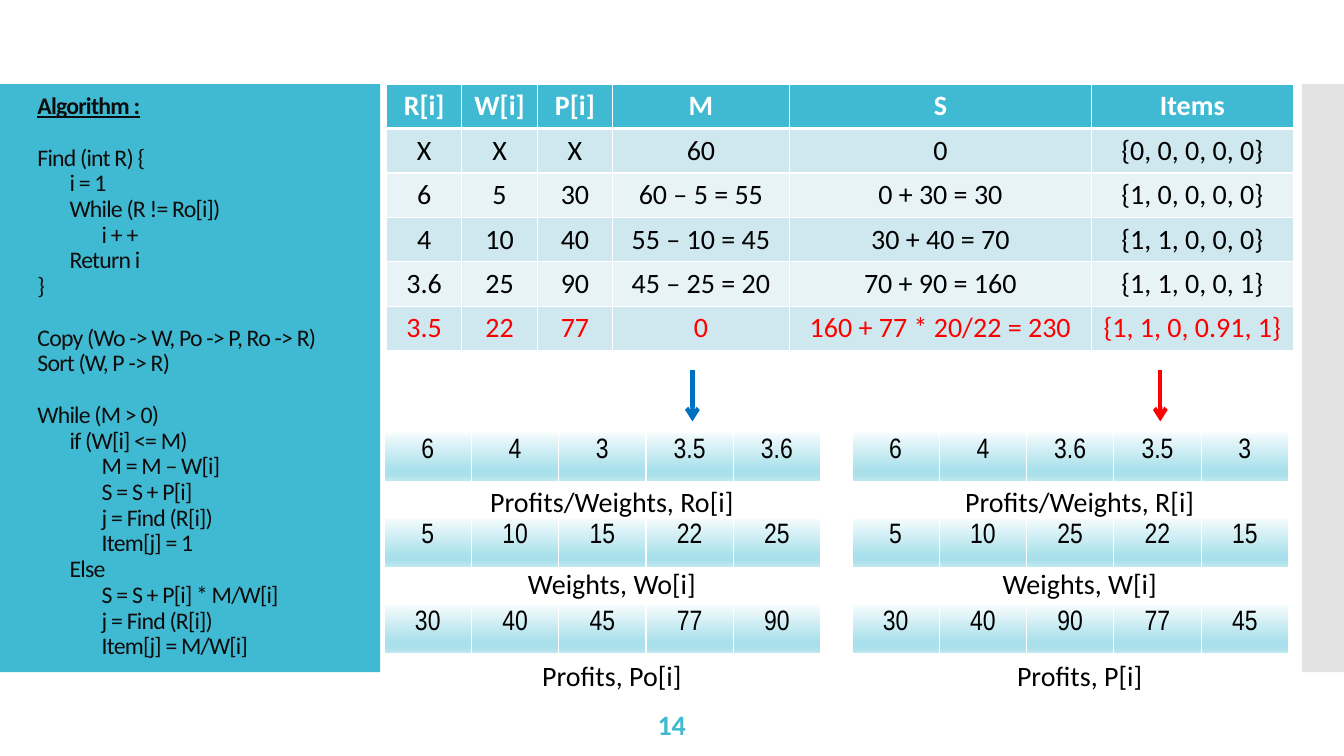
from pptx import Presentation
from pptx.dml.color import RGBColor
from pptx.enum.shapes import MSO_CONNECTOR, MSO_SHAPE
from pptx.enum.text import MSO_ANCHOR, MSO_AUTO_SIZE, PP_ALIGN
from pptx.oxml import parse_xml
from pptx.oxml.ns import nsdecls
from pptx.util import Cm, Pt

RECTANGLE = MSO_SHAPE.RECTANGLE
STRAIGHT = MSO_CONNECTOR.STRAIGHT
LEFT, CENTER = PP_ALIGN.LEFT, PP_ALIGN.CENTER
TOP, MIDDLE = MSO_ANCHOR.TOP, MSO_ANCHOR.MIDDLE
NO_AUTOFIT = MSO_AUTO_SIZE.NONE

TEAL, GREY, WHITE, BLACK = "40BAD2", "C8C8C8", "FFFFFF", "000000"
RED, BLUE, CODE_INK = "FF0000", "0070C0", "0D0D0D"
BANDS = ("CFE7EE", "E8F3F7")
ARRAY_GRADIENT = ((0, "F5FCFD"), (74, "A9E0EB"), (83, "A9E0EB"), (100, "C6EAF1"))

STEPS_HEADER = ["R[i]", "W[i]", "P[i]", "M", "S", "Items"]
STEPS = [
    ["X", "X", "X", "60", "0", "{0, 0, 0, 0, 0}"],
    ["6", "5", "30", "60 – 5 = 55", "0 + 30 = 30", "{1, 0, 0, 0, 0}"],
    ["4", "10", "40", "55 – 10 = 45", "30 + 40 = 70", "{1, 1, 0, 0, 0}"],
    ["3.6", "25", "90", "45 – 25 = 20", "70 + 90 = 160", "{1, 1, 0, 0, 1}"],
    ["3.5", "22", "77", "0", "160 + 77 * 20/22 = 230", "{1, 1, 0, 0.91, 1}"],
]
STEP_WIDTHS = [1.9, 1.9, 1.9, 4.45, 7.62, 5.08]

# Blocks of the algorithm; each line has its indent level.
ALGORITHM = [
    [(0, "Algorithm :")],
    [(0, "Find (int R) {"), (1, "i = 1"), (1, "While (R != Ro[i])"),
     (2, "i + +"), (1, "Return i"), (0, "}")],
    [(0, "Copy (Wo -> W, Po -> P, Ro -> R)"), (0, "Sort (W, P -> R)")],
    [(0, "While (M > 0)"), (1, "if (W[i] <= M)"), (2, "M = M – W[i]"),
     (2, "S = S + P[i]"), (2, "j = Find (R[i])"), (2, "Item[j] = 1"),
     (1, "Else"), (2, "S = S + P[i] * M/W[i]"), (2, "j = Find (R[i])"),
     (2, "Item[j] = M/W[i]")],
]

# Array top, label top (cm)
ARRAY_ROWS = [(10.9, 12.09), (13.06, 14.15), (15.24, 16.48)]
# Group left, arrow colour, arrays as (label, values)
ARRAY_GROUPS = [
    (9.68, BLUE, [
        ("Profits/Weights, Ro[i]", ["6", "4", "3", "3.5", "3.6"]),
        ("Weights, Wo[i]", ["5", "10", "15", "22", "25"]),
        ("Profits, Po[i]", ["30", "40", "45", "77", "90"])]),
    (21.47, RED, [
        ("Profits/Weights, R[i]", ["6", "4", "3.6", "3.5", "3"]),
        ("Weights, W[i]", ["5", "10", "25", "22", "15"]),
        ("Profits, P[i]", ["30", "40", "90", "77", "45"])]),
]


def rgb(color):
    return RGBColor.from_string(color)


def write(paragraph, text, size=20, font="Calibri", color=BLACK, bold=False,
          underline=False, align=CENTER, spacing=0):
    paragraph.alignment = align
    run = paragraph.add_run()
    run.text = text
    run.font.size = Pt(size)
    run.font.name = font
    run.font.color.rgb = rgb(color)
    run.font.bold = bold
    run.font.underline = underline
    if spacing:
        run.font._element.set("spc", str(round(spacing * 100)))


def add_panel(slide, left, width, color, opacity=100):
    panel = slide.shapes.add_shape(RECTANGLE, Cm(left), Cm(2.12), Cm(width), Cm(14.82))
    panel.shadow.inherit = False
    panel.line.fill.background()
    panel.fill.solid()
    panel.fill.fore_color.rgb = rgb(color)
    if opacity < 100:
        tint = panel.fill._xPr.solidFill[0]
        tint.append(parse_xml(f'<a:alpha {nsdecls("a")} val="{opacity * 1000}"/>'))


def add_label(slide, text, center, top, width=6.7, anchor=TOP, **text_format):
    label = slide.shapes.add_textbox(Cm(center - width / 2), Cm(top), Cm(width), Cm(1.12))
    label.text_frame.word_wrap = True
    label.text_frame.vertical_anchor = anchor
    write(label.text_frame.paragraphs[0], text, **text_format)


def add_arrow(slide, x, color):
    arrow = slide.shapes.add_connector(STRAIGHT, Cm(x), Cm(9.32), Cm(x), Cm(10.62))
    arrow.line.width = Pt(3)
    arrow.line.color.rgb = rgb(color)
    arrow.line._get_or_add_ln().append(
        parse_xml(f'<a:tailEnd {nsdecls("a")} type="arrow"/>'))
    arrow._element.spPr.append(parse_xml(f'<a:effectLst {nsdecls("a")}/>'))


def border_cell(cell, bottom):
    properties = cell._tc.get_or_add_tcPr()
    for side, width in (("L", 1), ("R", 1), ("T", 1), ("B", bottom)):
        properties.append(parse_xml(
            f'<a:ln{side} {nsdecls("a")} w="{Pt(width)}"><a:solidFill>'
            f'<a:srgbClr val="{WHITE}"/></a:solidFill></a:ln{side}>'))


def fill_cell(cell, fill):
    """Fill with one colour, or with a vertical gradient of (position, colour) stops."""
    if isinstance(fill, str):
        cell.fill.solid()
        cell.fill.fore_color.rgb = rgb(fill)
        return
    stops = "".join(f'<a:gs pos="{position * 1000}"><a:srgbClr val="{color}"/></a:gs>'
                    for position, color in fill)
    cell._tc.get_or_add_tcPr().append(parse_xml(
        f'<a:gradFill {nsdecls("a")}><a:gsLst>{stops}</a:gsLst>'
        '<a:lin ang="5400000" scaled="0"/></a:gradFill>'))


def add_grid(slide, left, top, widths, row_height, rows):
    """Each row is (values, fill, bottom border width, text format)."""
    grid = slide.shapes.add_table(len(rows), len(widths), Cm(left), Cm(top),
                                  Cm(sum(widths)), Cm(row_height * len(rows))).table
    grid.horz_banding = False
    for column, width in zip(grid.columns, widths):
        column.width = Cm(width)
    for row, (values, fill, bottom, text_format) in zip(grid.rows, rows):
        row.height = Cm(row_height)
        for cell, value in zip(row.cells, values):
            border_cell(cell, bottom)
            fill_cell(cell, fill)
            write(cell.text_frame.paragraphs[0], value, **text_format)


def add_steps(slide):
    rows = [(STEPS_HEADER, TEAL, 3, {"color": WHITE, "bold": True})]
    for index, values in enumerate(STEPS):
        color = RED if values is STEPS[-1] else BLACK
        rows.append((values, BANDS[index % 2], 1, {"color": color}))
    add_grid(slide, 9.74, 2.12, STEP_WIDTHS, 1.1, rows)


def add_array_group(slide, left, arrow_color, arrays):
    for (array_top, label_top), (label, values) in zip(ARRAY_ROWS, arrays):
        add_label(slide, label, left + 5.74, label_top)
        add_grid(slide, left, array_top, [2.2] * len(values), 1.27,
                 [(values, ARRAY_GRADIENT, 3, {"font": "Arial Narrow", "bold": False})])
    add_arrow(slide, left + 7.77, arrow_color)


def write_algorithm(title):
    title.left, title.top, title.width, title.height = Cm(0.69), Cm(2.12), Cm(8.18), Cm(14.76)
    title._element.getparent().append(title._element)  # in front of the panel
    frame = title.text_frame
    frame.auto_size = NO_AUTOFIT
    frame.word_wrap = True
    frame.vertical_anchor = MIDDLE
    for block in ALGORITHM:
        heading = block is ALGORITHM[0]
        for number, (level, text) in enumerate(block):
            line = frame.paragraphs[0] if heading else frame.add_paragraph()
            line.line_spacing = 0.9
            line.space_before = Pt(18.4 if number == 0 and not heading else 0)
            line._p.get_or_add_pPr().set("marL", str(Cm(0.81 * level)))
            write(line, text, size=17, color=CODE_INK, bold=heading,
                  underline=heading, align=LEFT, spacing=-0.6)


def main():
    deck = Presentation()
    deck.slide_width, deck.slide_height = Cm(33.87), Cm(19.05)
    slide = deck.slides.add_slide(deck.slide_layouts[5])
    add_panel(slide, 0, 9.58, TEAL)
    add_panel(slide, 32.81, 1.06, GREY, opacity=50)
    add_steps(slide)
    for left, arrow_color, arrays in ARRAY_GROUPS:
        add_array_group(slide, left, arrow_color, arrays)
    write_algorithm(slide.shapes.title)
    add_label(slide, "14", 16.93, 17.7, width=4.24, anchor=MIDDLE, color=TEAL, bold=True)
    deck.save("out.pptx")


if __name__ == "__main__":
    main()
